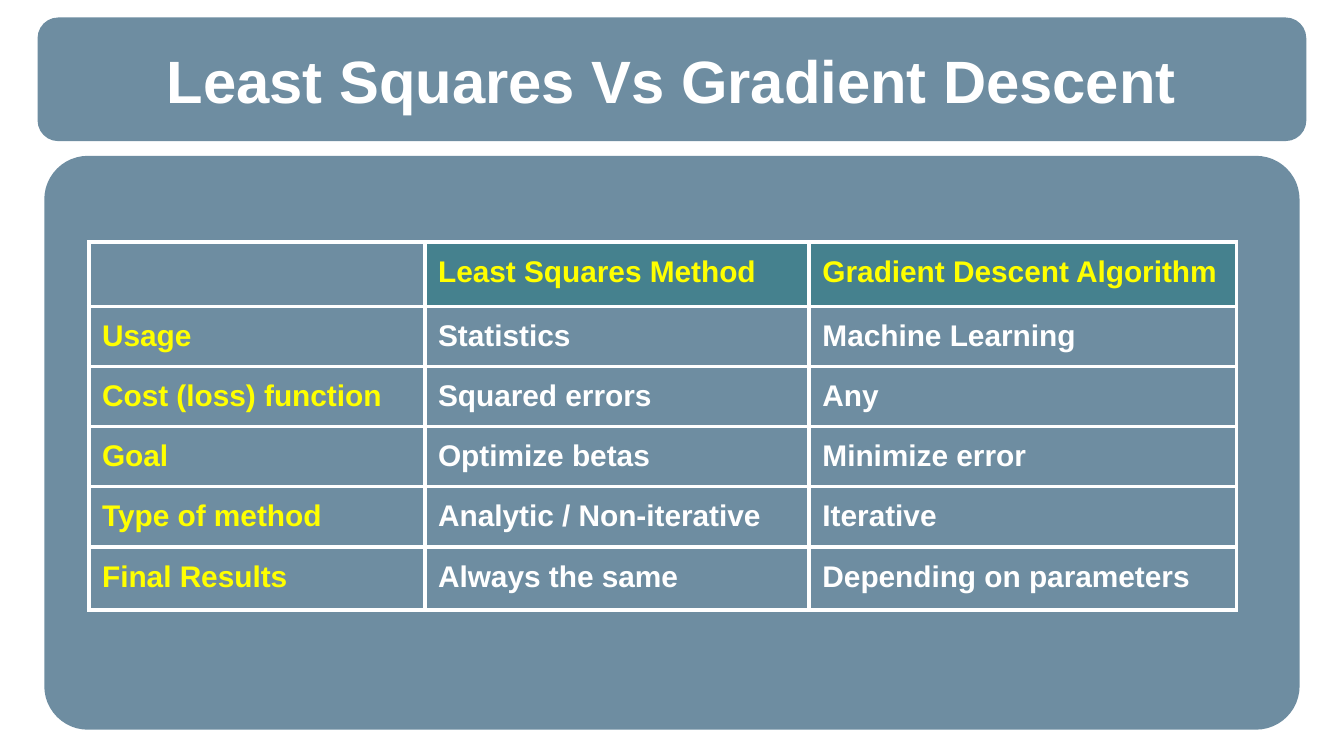
from lxml.etree import SubElement
from pptx import Presentation
from pptx.dml.color import RGBColor
from pptx.enum.shapes import MSO_SHAPE
from pptx.enum.text import MSO_ANCHOR, PP_ALIGN
from pptx.oxml.ns import qn
from pptx.util import Inches, Pt

COLORS = {"panel": "215170", "header": "45818E", "label": "FFFF00", "text": "FFFFFF", "border": "FFFFFF"}
FONT = "Arial"
INSET = 0.1
CELL_BOTTOM_INSET = 0.08
COLUMN_WIDTHS = [2.5, 2.86, 3.18]
ROW_HEIGHTS = [0.42] * 5 + [0.47]
COMPARISON = [
    ["", "Least Squares Method", "Gradient Descent Algorithm"],
    ["Usage", "Statistics", "Machine Learning"],
    ["Cost (loss) function", "Squared errors", "Any"],
    ["Goal", "Optimize betas", "Minimize error"],
    ["Type of method", "Analytic / Non-iterative", "Iterative"],
    ["Final Results", "Always the same", "Depending on parameters"],
]


def set_insets(holder, bottom=INSET):
    """Set the insets of a cell or text frame."""
    holder.margin_left = holder.margin_right = holder.margin_top = Inches(INSET)
    holder.margin_bottom = Inches(bottom)


def write_text(frame, text, size, color):
    """Write one bold line of text into a frame."""
    frame.text = text
    for span in frame.paragraphs[0].runs:
        span.font.name = FONT
        span.font.size = Pt(size)
        span.font.bold = True
        span.font.color.rgb = RGBColor.from_string(COLORS[color])


def add_panel(page, box, rounding):
    """Add a translucent rounded panel filling the box."""
    panel = page.shapes.add_shape(MSO_SHAPE.ROUNDED_RECTANGLE, *map(Inches, box))
    panel.adjustments[0] = rounding
    panel.shadow.inherit = False
    panel.line.fill.background()
    panel.fill.solid()
    panel.fill.fore_color.rgb = RGBColor.from_string(COLORS["panel"])
    color = panel._element.spPr.find(qn("a:solidFill"))[0]
    SubElement(color, qn("a:alpha"), val="65000")


def add_title(page, box, text):
    """Add the title bar with its centred heading."""
    left, top, width, height = box
    add_panel(page, box, 0.167)
    heading = page.shapes.add_textbox(
        Inches(left + 0.05), Inches(top + 0.16), Inches(width - 0.1), Inches(height - 0.32))
    frame = heading.text_frame
    frame.word_wrap = True
    frame.vertical_anchor = MSO_ANCHOR.MIDDLE
    set_insets(frame)
    write_text(frame, text, 32, "text")
    frame.paragraphs[0].alignment = PP_ALIGN.CENTER


def add_borders(cell):
    """Draw a solid border on all four sides of a cell."""
    properties = cell._tc.get_or_add_tcPr()
    for position, side in enumerate(("a:lnL", "a:lnR", "a:lnT", "a:lnB")):
        line = SubElement(properties, qn(side), w=str(Pt(2.25)))
        fill = SubElement(line, qn("a:solidFill"))
        SubElement(fill, qn("a:srgbClr"), val=COLORS["border"])
        properties.insert(position, line)


def add_comparison(page, box):
    """Add the body panel with the comparison table."""
    left, top, width, height = box
    add_panel(page, box, 0.076)
    table = page.shapes.add_table(
        len(ROW_HEIGHTS), len(COLUMN_WIDTHS), Inches(left + 0.33), Inches(top + 0.64),
        Inches(sum(COLUMN_WIDTHS)), Inches(sum(ROW_HEIGHTS))).table
    table.first_row = table.horz_banding = False
    for column, column_width in zip(table.columns, COLUMN_WIDTHS):
        column.width = Inches(column_width)
    for row, row_height in zip(table.rows, ROW_HEIGHTS):
        row.height = Inches(row_height)
    for row_index, entries in enumerate(COMPARISON):
        for column_index, text in enumerate(entries):
            cell = table.cell(row_index, column_index)
            set_insets(cell, CELL_BOTTOM_INSET)
            is_label = row_index == 0 or column_index == 0
            write_text(cell.text_frame, text, 16, "label" if is_label else "text")
            if row_index == 0 and column_index > 0:
                cell.fill.solid()
                cell.fill.fore_color.rgb = RGBColor.from_string(COLORS["header"])
            else:
                cell.fill.background()
            add_borders(cell)


def main():
    """Build and save the deck."""
    deck = Presentation()
    deck.slide_width = Inches(10)
    deck.slide_height = deck.slide_width * 9 // 16
    page = deck.slides.add_slide(deck.slide_layouts[6])
    add_title(page, (0.28, 0.13, 9.44, 0.92), "Least Squares Vs Gradient Descent")
    add_comparison(page, (0.33, 1.16, 9.34, 4.27))
    deck.save("out.pptx")


if __name__ == "__main__":
    main()
